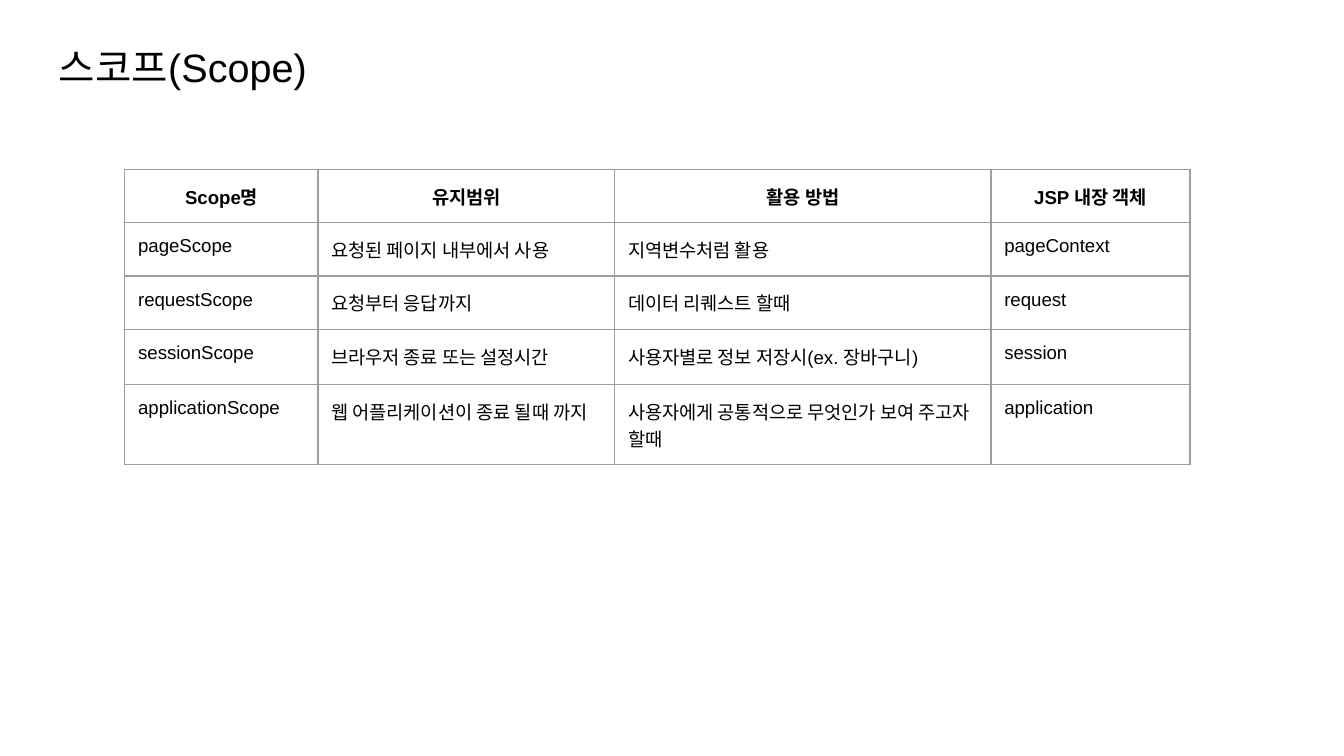
from pptx import Presentation
from pptx.dml.color import RGBColor
from pptx.enum.text import MSO_ANCHOR as Anchor, MSO_AUTO_SIZE as AutoSize, PP_ALIGN as Align
from pptx.oxml import parse_xml
from pptx.oxml.ns import nsdecls
from pptx.util import Cm, Pt

BLACK = RGBColor(0x00, 0x00, 0x00)
GREY = RGBColor(0x9E, 0x9E, 0x9E)
INSET = Cm(0.25)
MARGINS = dict.fromkeys(("margin_left", "margin_top", "margin_right", "margin_bottom"), INSET)

COL_WIDTHS = (3.65, 5.61, 7.11, 3.76)
ROW_HEIGHTS = (0.71, 0.71, 0.71, 1.04, 1.04)
SCOPES = (
    ("Scope명", "유지범위", "활용 방법", "JSP 내장 객체"),
    ("pageScope", "요청된 페이지 내부에서 사용", "지역변수처럼 활용", "pageContext"),
    ("requestScope", "요청부터 응답까지", "데이터 리퀘스트 할때", "request"),
    ("sessionScope", "브라우저 종료 또는 설정시간", "사용자별로 정보 저장시(ex. 장바구니)", "session"),
    ("applicationScope", "웹 어플리케이션이 종료 될때 까지",
     "사용자에게 공통적으로 무엇인가 보여 주고자 할때", "application"),
)


def set_attrs(obj, values):
    for name, value in values.items():
        setattr(obj, name, value)


def write_text(tf, text, size, bold=False, align=Align.LEFT):
    p = tf.paragraphs[0]
    p.alignment = align
    r = p.add_run()
    r.text = text
    set_attrs(r.font, {"name": "Arial", "size": Pt(size), "bold": bold})
    r.font.color.rgb = BLACK


def set_borders(cell):
    tc_pr = cell._tc.get_or_add_tcPr()
    for i, side in enumerate(("lnL", "lnR", "lnT", "lnB")):
        # Border lines must come before the cell's fill
        tc_pr.insert(i, parse_xml(
            f'<a:{side} {nsdecls("a")} w="{Pt(0.75)}"><a:solidFill>'
            f'<a:srgbClr val="{GREY}"/></a:solidFill></a:{side}>'))


def add_title(slide, text):
    sp = slide.shapes.title
    set_attrs(sp, {"left": Cm(0.86), "top": Cm(0.56), "width": Cm(23.67), "height": Cm(1.6)})
    tf = sp.text_frame
    set_attrs(tf, {**MARGINS, "word_wrap": True, "auto_size": AutoSize.NONE,
                   "vertical_anchor": Anchor.TOP})
    write_text(tf, text, 21.2)


def add_scope_table(slide, rows):
    frame = slide.shapes.add_table(len(rows), len(rows[0]), Cm(2.36), Cm(3.2),
                                   Cm(sum(COL_WIDTHS)), Cm(5.18))
    table = frame.table
    set_attrs(table, {"first_row": False, "horz_banding": False})
    for column, width in zip(table.columns, COL_WIDTHS):
        column.width = Cm(width)
    for row, height in zip(table.rows, ROW_HEIGHTS):
        row.height = Cm(height)
    frame.height = Cm(5.18)

    for i, texts in enumerate(rows):
        header = i == 0
        for cell, text in zip(table.rows[i].cells, texts):
            set_attrs(cell, {**MARGINS, "vertical_anchor": Anchor.TOP})
            cell.fill.background()
            set_borders(cell)
            write_text(cell.text_frame, text, 10, header, Align.CENTER if header else Align.LEFT)


def main():
    prs = Presentation()
    set_attrs(prs, {"slide_width": Cm(25.4), "slide_height": Cm(14.29)})
    slide = prs.slides.add_slide(prs.slide_layouts[5])  # title only
    add_title(slide, "스코프(Scope)")
    add_scope_table(slide, SCOPES)
    prs.save("out.pptx")


if __name__ == "__main__":
    main()
